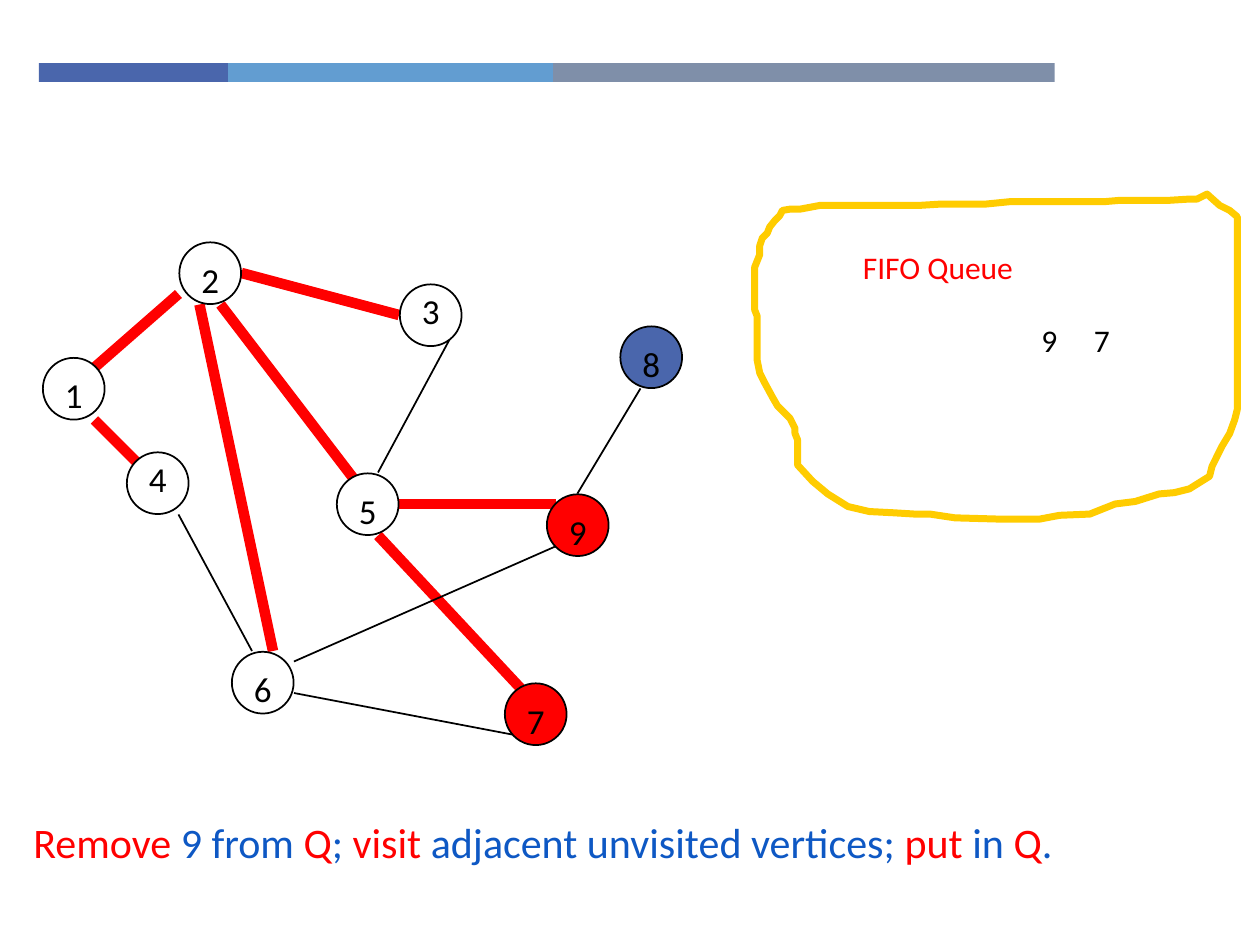
from itertools import pairwise

from lxml.etree import SubElement
from pptx import Presentation
from pptx.dml.color import RGBColor
from pptx.enum.shapes import MSO_CONNECTOR as Connector, MSO_SHAPE as Shape
from pptx.oxml.ns import qn
from pptx.util import Inches, Pt

BLACK, WHITE, RED, BLUE, TEXT_BLUE, GOLD = (
    "000000", "FFFFFF", "FF0000", "4A66AC", "0E58C4", "FFCC00")
COLUMNS, ROWS = 120, 90
NODE_SIZE, NODE_INSET = 5.88, 0.08

# Node number: column, row, fill, rows from the node's top to its label
NODES = {
    1: (4, 34, WHITE, 1), 2: (17, 23, WHITE, 1), 3: (38, 27, WHITE, 0),
    4: (12, 43, WHITE, 0), 5: (32, 45, WHITE, 1), 6: (22, 62, WHITE, 1),
    7: (48, 65, RED, 1), 8: (59, 31, BLUE, 1), 9: (52, 47, RED, 1),
}

# Edges as start column, start row, end column, end row
TREE_EDGES = [
    (17, 28, 9, 35), (21, 29, 34, 46), (9, 40, 13, 44), (36, 51, 50, 66),
    (38, 48, 53, 48), (23, 26, 38, 30), (19, 29, 26, 62),
]
OTHER_EDGES = [
    (17, 49, 24, 62), (28, 66, 49, 70), (43, 32, 36, 45),
    (61, 37, 55, 47), (28, 63, 53, 52),
]

# Hand-drawn outline around the queue, in hundredths of an inch
QUEUE_OUTLINE = [
    (958, 154), (950, 158), (944, 158), (928, 159), (889, 159), (877, 160),
    (802, 160), (782, 162), (746, 162), (730, 163), (651, 163), (635, 166),
    (627, 166), (621, 167), (619, 171), (615, 175), (611, 180), (609, 185),
    (605, 189), (603, 195), (603, 202), (599, 212), (599, 246), (601, 251),
    (601, 286), (603, 296), (607, 304), (613, 315), (617, 322), (621, 326),
    (627, 332), (631, 340), (631, 344), (633, 349), (633, 369), (645, 382),
    (657, 392), (673, 402), (690, 406), (710, 407), (726, 408), (738, 408),
    (758, 411), (794, 412), (825, 412), (841, 409), (865, 408), (885, 400),
    (901, 398), (920, 392), (932, 391), (944, 388), (960, 378), (962, 370),
    (966, 362), (970, 354), (976, 344), (980, 333), (982, 325), (982, 172),
    (976, 167), (968, 163),
]


def rgb(color):
    return RGBColor.from_string(color)


class SlideBuilder:
    font = "Calibri"

    def __init__(self, deck):
        self.slide = deck.slides.add_slide(deck.slide_layouts[6])
        self.cell_width = deck.slide_width / COLUMNS
        self.cell_height = deck.slide_height / ROWS

    def place(self, *lengths):
        """Turn column, row pairs into slide lengths."""
        cells = (self.cell_width, self.cell_height)
        return [round(length * cells[i % 2]) for i, length in enumerate(lengths)]

    def stroke(self, item, color, width):
        item.line.color.rgb = rgb(color)
        item.line.width = Pt(width)

    def shape(self, kind, at, fill, outline=None, parent=None):
        shapes = (parent or self.slide).shapes
        item = shapes.add_shape(kind, *self.place(*at))
        item.shadow.inherit = False
        item.fill.solid()
        item.fill.fore_color.rgb = rgb(fill)
        if outline:
            self.stroke(item, outline, 1)
        else:
            item.line.fill.background()

    def text(self, at, size, *spans, parent=None):
        box = (parent or self.slide).shapes.add_textbox(*self.place(*at))
        box.text_frame.word_wrap = True
        para = box.text_frame.paragraphs[0]
        para.font.name = self.font
        para.font.size = Pt(size)
        for words, color in spans:
            span = para.add_run()
            span.text = words
            span.font.color.rgb = rgb(color)

    def edge(self, ends, color, width):
        line = self.slide.shapes.add_connector(
            Connector.STRAIGHT, *self.place(*ends))
        self.stroke(line, color, width)
        SubElement(line._element.spPr, qn("a:effectLst"))

    def node(self, number, column, row, fill, label_drop):
        group = self.slide.shapes.add_group_shape()
        circle = (column + NODE_INSET, row + NODE_INSET, NODE_SIZE, NODE_SIZE)
        self.shape(Shape.OVAL, circle, fill, BLACK, group)
        self.text((column + 1, row + label_drop, 3, 5.2), 20,
                  (str(number), BLACK), parent=group)

    def outline(self, points, color, width):
        builder = self.slide.shapes.build_freeform(
            *points[0], scale=Inches(0.01))
        builder.add_line_segments(points[1:], close=True)
        item = builder.convert_to_shape()
        item.shadow.inherit = False
        item.fill.background()
        self.stroke(item, color, width)
        SubElement(item.line._get_or_add_ln(), qn("a:round"))


def main():
    deck = Presentation()
    deck.slide_width, deck.slide_height = Inches(10), Inches(7.5)
    page = SlideBuilder(deck)

    # Header band
    band_edges = (3.72, 21.72, 52.68, 100.44)
    for (left, right), fill in zip(pairwise(band_edges),
                                   (BLUE, "629DD1", "7F8FA9")):
        page.shape(Shape.RECTANGLE, (left, 6, right - left, 1.8), fill)

    # Queue and its contents
    page.text((81, 23, 37, 10.3), 18, ("FIFO Queue", RED))
    for column, number in ((98, "9"), (103, "7")):
        page.text((column, 30, 5, 7.5), 18, (number, BLACK))

    # Graph: edges below the nodes
    for ends in TREE_EDGES:
        page.edge(ends, RED, 6)
    for ends in OTHER_EDGES:
        page.edge(ends, BLACK, 1)
    for number, node in NODES.items():
        page.node(number, *node)

    # Current step
    page.text((2, 77.2, 118, 9.4), 24,
              ("Remove", RED), (" 9 from ", TEXT_BLUE), ("Q", RED),
              ("; ", TEXT_BLUE), ("visit", RED),
              (" adjacent unvisited vertices; ", TEXT_BLUE), ("put", RED),
              (" in ", TEXT_BLUE), ("Q", RED), (".", TEXT_BLUE))

    # Queue outline
    page.outline(QUEUE_OUTLINE, GOLD, 4)
    deck.save("out.pptx")


if __name__ == "__main__":
    main()
